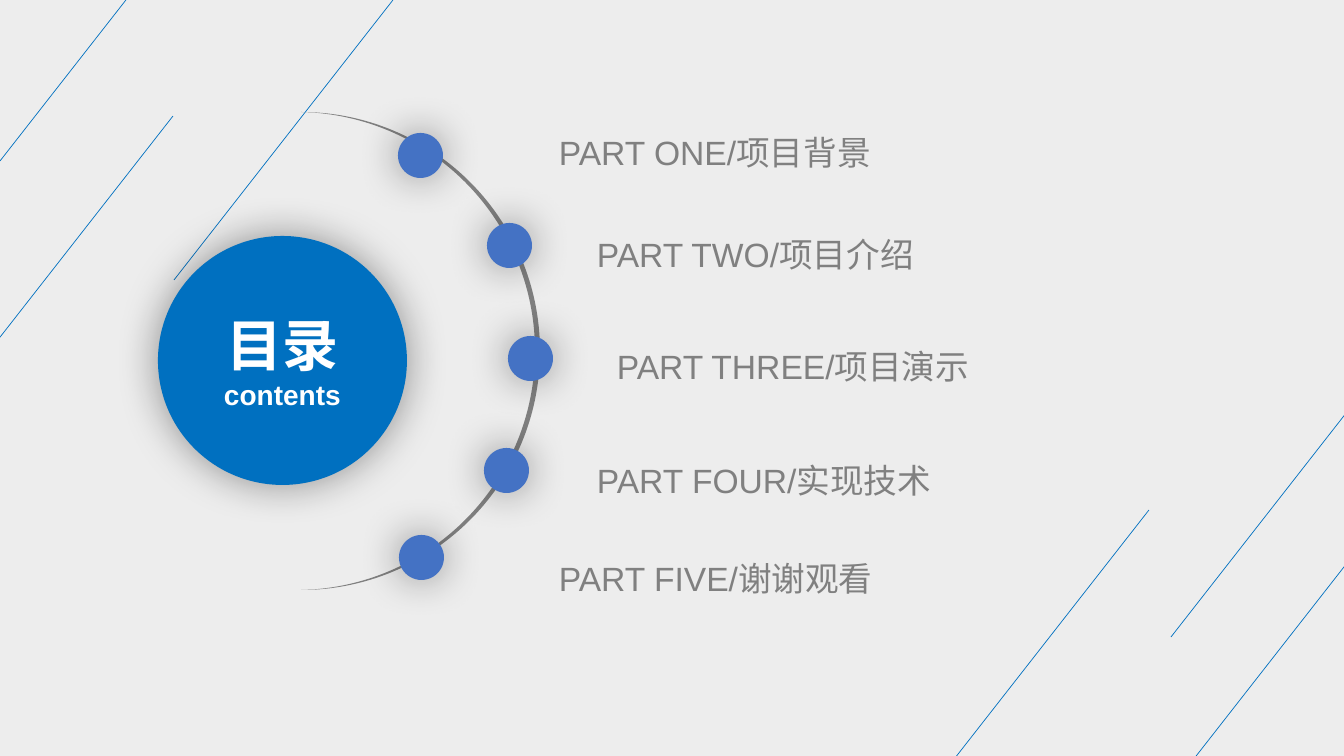
from lxml.etree import SubElement
from pptx import Presentation
from pptx.dml.color import RGBColor
from pptx.enum.shapes import MSO_CONNECTOR, MSO_SHAPE
from pptx.enum.text import MSO_ANCHOR, MSO_AUTO_SIZE, PP_ALIGN
from pptx.oxml.ns import qn
from pptx.util import Emu, Pt

PAGE_WIDTH, PAGE_HEIGHT = 1344, 756
EMU_PER_PX = 12192000 / PAGE_WIDTH

BACKDROP = RGBColor(0xD9, 0xD9, 0xD9)
BLUE = RGBColor(0x00, 0x70, 0xC0)
DOT_BLUE = RGBColor(0x44, 0x72, 0xC4)
GREY = RGBColor(0x80, 0x80, 0x80)
WHITE = RGBColor(0xFF, 0xFF, 0xFF)
FONT = "Arial"

# Left and bottom of each slanted line
SLANTS = [(930, 790), (1171, 637), (-46, 396), (174, 280), (1150, 815), (0, 161)]
SLANT_WIDTH, SLANT_HEIGHT = 219, 280

# Label, its left and top, then the left and top of its dot
PARTS = [
    ("PART ONE/项目背景", (549, 107), (398, 133)),
    ("PART TWO/项目介绍", (587, 209), (487, 223)),
    ("PART THREE/项目演示", (607, 321), (508, 336)),
    ("PART FOUR/实现技术", (587, 435), (484, 448)),
    ("PART FIVE/谢谢观看", (549, 533), (399, 535)),
]
LABEL_WIDTH, LABEL_HEIGHT = 484, 72
DOT_SIZE = 45


def px(*lengths):
    return [Emu(round(length * EMU_PER_PX)) for length in lengths]


def add_filled(page, kind, box, color):
    shape = page.shapes.add_shape(kind, *px(*box))
    shape.shadow.inherit = False
    shape.fill.solid()
    shape.fill.fore_color.rgb = color
    shape.line.fill.background()
    return shape


def add_glow(shape):
    """Give the shape a soft shadow on every side."""
    effects = shape._element.spPr.find(qn("a:effectLst"))
    shadow = SubElement(effects, qn("a:outerShdw"), blurRad=str(Pt(30)), dist="0",
                        dir="0", algn="ctr", rotWithShape="0")
    color = SubElement(shadow, qn("a:srgbClr"), val="000000")
    SubElement(color, qn("a:alpha"), val="40000")


def style_paragraph(para, size, color, bold=False):
    for span in para.runs:
        span.font.name = FONT
        span.font.size = Pt(size)
        span.font.bold = bold
        span.font.color.rgb = color


def add_backdrop(page, box):
    left, top, width, height = box
    panel = add_filled(page, MSO_SHAPE.RECTANGLE, box, BACKDROP)
    color = panel._element.spPr.find(qn("a:solidFill"))[0]
    SubElement(color, qn("a:alpha"), val="46000")

    # Slanted lines in the corners
    for x, y in SLANTS:
        x, y = left + x, top + y
        slant = page.shapes.add_connector(
            MSO_CONNECTOR.STRAIGHT, *px(x, y, x + SLANT_WIDTH, y - SLANT_HEIGHT))
        slant.line.color.rgb = BLUE
        slant.line.width = Pt(0.5)
        SubElement(slant._element.spPr, qn("a:effectLst"))


def add_title_disc(page, box):
    disc = add_filled(page, MSO_SHAPE.OVAL, box, BLUE)
    add_glow(disc)
    frame = disc.text_frame
    frame.text = "目录\ncontents"
    frame.vertical_anchor = MSO_ANCHOR.MIDDLE
    for para, size in zip(frame.paragraphs, (40, 20)):
        para.alignment = PP_ALIGN.CENTER
        style_paragraph(para, size, WHITE, bold=True)


def add_label(page, text, box):
    label = page.shapes.add_textbox(*px(*box))
    frame = label.text_frame
    frame.text = text
    frame.word_wrap = True
    frame.auto_size = MSO_AUTO_SIZE.SHAPE_TO_FIT_TEXT
    para = frame.paragraphs[0]
    para.line_spacing = 1.5
    style_paragraph(para, 24, GREY)


def add_parts(page, box):
    left, top, width, height = box

    # Thin crescent that the dots sit on
    arc = add_filled(page, MSO_SHAPE.MOON, (left + 301, top + 112, 239, 478), GREY)
    arc.rotation = 180
    arc.adjustments[0] = 0.021

    # Dots and labels
    for text, (label_x, label_y), (dot_x, dot_y) in PARTS:
        add_label(page, text, (left + label_x, top + label_y, LABEL_WIDTH, LABEL_HEIGHT))
        dot = add_filled(page, MSO_SHAPE.OVAL,
                         (left + dot_x, top + dot_y, DOT_SIZE, DOT_SIZE), DOT_BLUE)
        add_glow(dot)


def add_contents_page(deck):
    page = deck.slides.add_slide(deck.slide_layouts[6])
    whole_page = (0, 0, PAGE_WIDTH, PAGE_HEIGHT)
    add_backdrop(page, whole_page)
    add_title_disc(page, (158, 236, 249, 249))
    add_parts(page, whole_page)


def main():
    deck = Presentation()
    deck.slide_width, deck.slide_height = px(PAGE_WIDTH, PAGE_HEIGHT)
    add_contents_page(deck)
    deck.save("out.pptx")


if __name__ == "__main__":
    main()
